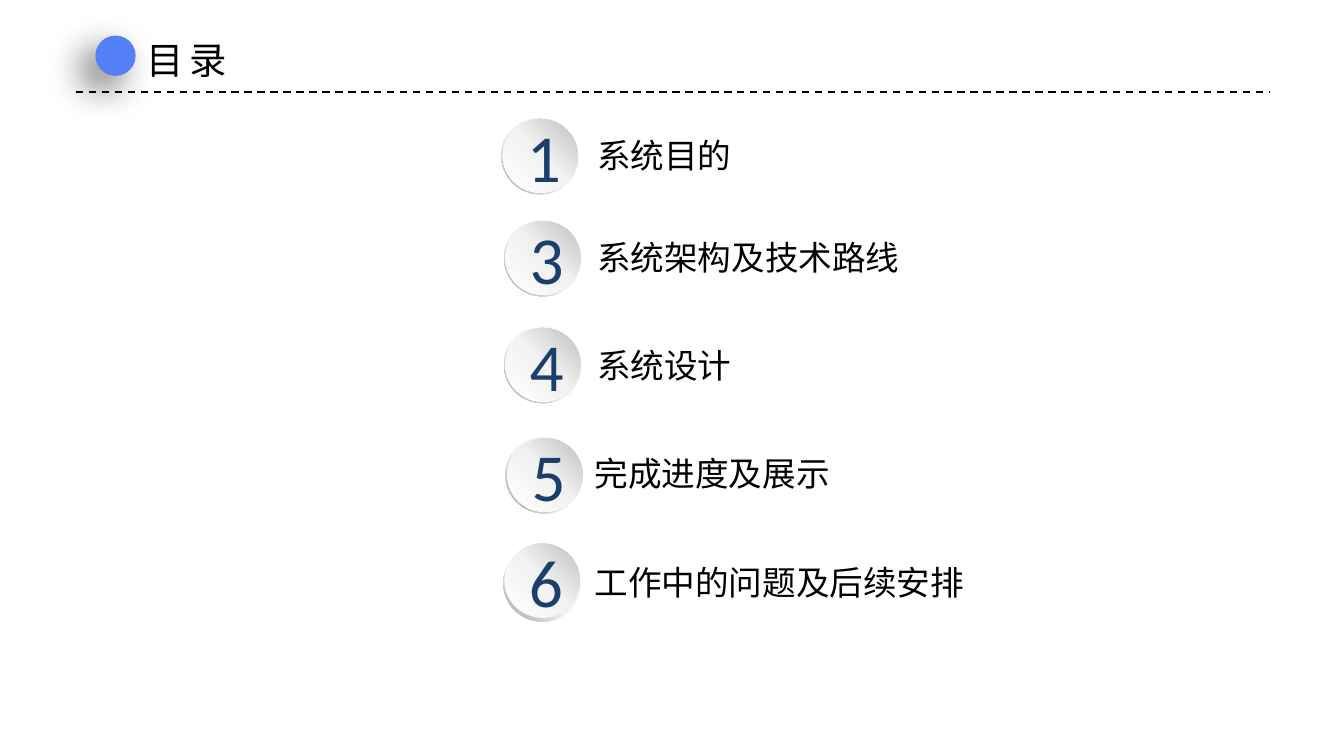
from copy import deepcopy

from lxml.etree import SubElement
from pptx import Presentation
from pptx.dml.color import RGBColor
from pptx.enum.dml import MSO_LINE
from pptx.enum.shapes import MSO_CONNECTOR, MSO_SHAPE
from pptx.enum.text import MSO_ANCHOR, MSO_AUTO_SIZE, PP_ALIGN
from pptx.oxml.ns import qn
from pptx.util import Pt

PX = 4572
COLORS = {
    "text": "000000",
    "accent": "5380F7",
    "number": "1A3F6C",
    "shadow": "000000",
    "white": "FFFFFF",
    "light": "F2F2F2",
    "silver": "BFBFBF",
    "gray": "A6A6A6",
}
CJK = "Noto Sans CJK SC"
RING = [(0, "white"), (0.55, "light"), (1, "gray")]
BUTTON = [(0, "white"), (0.51, "light"), (1, "silver")]
ITEMS = [
    ("1", "系统目的", (746, 175), (748, 177), (869, 191, 242)),
    ("3", "系统架构及技术路线", (750, 327), (752, 329), (869, 343, 494)),
    ("4", "系统设计", (750, 486), (752, 488), (869, 504, 242)),
    ("5", "完成进度及展示", (752, 650), (755, 652), (865, 664, 394)),
    ("6", "工作中的问题及后续安排", (749, 811), (751, 809), (865, 827, 596)),
]


def px(*values):
    return [v * PX for v in values]


def rgb(name):
    return RGBColor.from_string(COLORS[name])


def write(tf, text, size, font=CJK, color="text", align=PP_ALIGN.LEFT, spacing=0):
    p = tf.paragraphs[0]
    p.alignment = align
    r = p.add_run()
    r.text = text
    r.font.size = Pt(size)
    r.font.name = font
    r.font.color.rgb = rgb(color)
    rpr = r.font._element
    SubElement(rpr, qn("a:ea"), typeface=font)
    if spacing:
        rpr.set("spc", str(spacing * 100))


class Deck:
    def __init__(self, width, height):
        self.prs = Presentation()
        self.prs.slide_width, self.prs.slide_height = px(width, height)
        self.s = self.prs.slides.add_slide(self.prs.slide_layouts[6])

    def line(self, x1, y1, x2, y2):
        sp = self.s.shapes.add_connector(MSO_CONNECTOR.STRAIGHT, *px(x1, y1, x2, y2))
        sp.line.color.rgb = rgb("text")
        sp.line.width = Pt(1)
        sp.line.dash_style = MSO_LINE.DASH
        SubElement(sp._element.spPr, qn("a:effectLst"))

    def shape(self, kind, x, y, w, h, parent=None):
        sp = (parent or self.s).shapes.add_shape(kind, *px(x, y, w, h))
        sp.shadow.inherit = False
        sp.line.fill.background()
        return sp

    def dot(self, x, y, size):
        sp = self.shape(MSO_SHAPE.OVAL, x, y, size, size)
        sp.fill.solid()
        sp.fill.fore_color.rgb = rgb("accent")
        effects = sp._element.spPr.find(qn("a:effectLst"))
        shadow = SubElement(effects, qn("a:outerShdw"), blurRad=str(Pt(20)),
                            dist=str(Pt(10)), dir="8100000", algn="tr", rotWithShape="0")
        color = SubElement(shadow, qn("a:srgbClr"), val=COLORS["shadow"])
        SubElement(color, qn("a:alpha"), val="60000")

    def gradient(self, sp, stops, angle):
        sp.fill.gradient()
        sp.fill.gradient_angle = angle
        gs = sp._element.spPr.find(qn("a:gradFill")).find(qn("a:gsLst"))
        gs.append(deepcopy(gs[-1]))
        for stop, (position, color) in zip(sp.fill.gradient_stops, stops):
            stop.position = position
            stop.color.rgb = rgb(color)

    def badge(self, number, ring_at, button_at):
        group = self.s.shapes.add_group_shape()
        ring = self.shape(MSO_SHAPE.DONUT, *ring_at, 116, 114, group)
        ring.adjustments[0] = 0.05
        self.gradient(ring, RING, 225)
        button = self.shape(MSO_SHAPE.OVAL, *button_at, 112, 110, group)
        self.gradient(button, BUTTON, 45)
        tf = button.text_frame
        tf.vertical_anchor = MSO_ANCHOR.MIDDLE
        write(tf, number, 36, font="Calibri", color="number", align=PP_ALIGN.CENTER)

    def text(self, text, x, y, w, h, size, **style):
        tf = self.s.shapes.add_textbox(*px(x, y, w, h)).text_frame
        tf.word_wrap = False
        tf.auto_size = MSO_AUTO_SIZE.SHAPE_TO_FIT_TEXT
        write(tf, text, size, **style)


def main():
    deck = Deck(2000, 1125)
    deck.line(113, 137, 1888, 137)
    deck.dot(142, 53, 60)
    deck.text("目录", 198, 46, 170, 88, 20, spacing=3)
    for number, title, ring_at, button_at, (x, y, w) in ITEMS:
        deck.badge(number, ring_at, button_at)
        deck.text(title, x, y, w, 80, 18)
    deck.prs.save("out.pptx")


if __name__ == "__main__":
    main()
